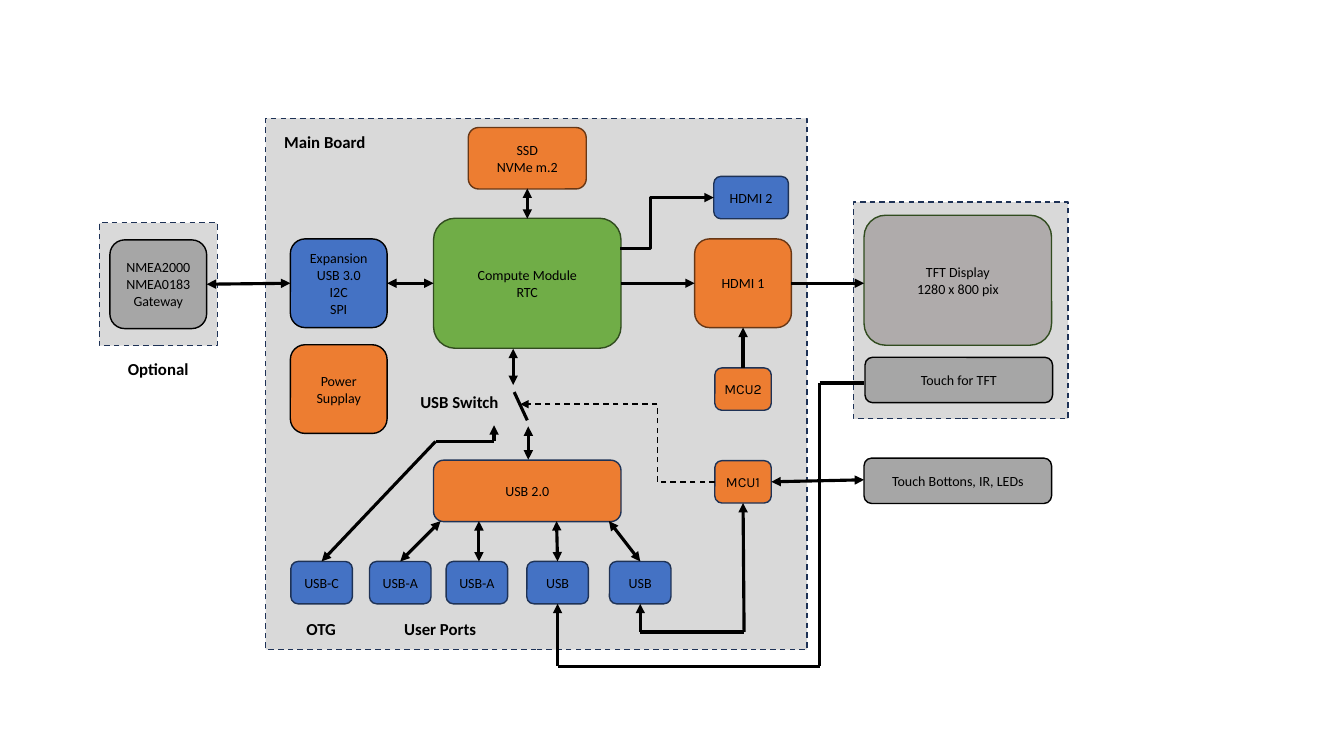
from dataclasses import dataclass

from lxml.etree import SubElement
from pptx import Presentation
from pptx.dml.color import RGBColor
from pptx.enum.dml import MSO_LINE
from pptx.enum.shapes import MSO_CONNECTOR, MSO_SHAPE
from pptx.enum.text import MSO_ANCHOR, MSO_AUTO_SIZE, PP_ALIGN
from pptx.oxml.ns import qn
from pptx.util import Inches, Pt


@dataclass(frozen=True)
class Theme:
    board: str = "D9D9D9"
    green: str = "70AD47"
    screen: str = "AFABAB"
    orange: str = "ED7D31"
    blue: str = "4472C4"
    grey: str = "A6A6A6"
    navy: str = "1E3256"
    moss: str = "314C1F"
    brown: str = "683715"
    black: str = "000000"
    font: str = "Calibri"
    chip_font: str = "Karla"
    block_size: int = 10
    label_size: int = 12
    thin: float = 1
    thick: float = 2.25


theme = Theme()

# Grid: centre lines of the columns and rows, in inches
GATEWAY, EXPANSION, CORE, VIDEO, DISPLAY = 1.57, 3.36, 5.23, 7.37, 9.5
OTG, PORT_A1, PORT_A2, PORT_TOUCH, PORT_CHIP = 3.19, 3.97, 4.73, 5.53, 6.35
STORAGE, SECOND_VIDEO, MAIN, POWER = 1.57, 1.96, 2.81, 3.86
SWITCH, CONTROL, HUB, PORTS = 4.01, 4.78, 4.87, 5.78
HUB_BOTTOM, PORT_TOP, PORT_BOTTOM = 5.17, 5.57, 5.99
CHIP_LOOP, TOUCH_LOOP, TOUCH_RISER, TOUCH_EXIT = 6.27, 6.61, 8.13, 3.8

# Block sizes
LARGE, UNIT, BAR = (1.86, 1.29), (0.96, 0.88), (1.86, 0.45)
HUB_SIZE, STORAGE_SIZE = (1.86, 0.61), (1.17, 0.61)
PORT, CHIP, VIDEO_PORT = (0.61, 0.42), (0.56, 0.42), (0.74, 0.42)

deck = Presentation()
deck.slide_width, deck.slide_height = Inches(13.33), Inches(7.5)
slide = deck.slides.add_slide(deck.slide_layouts[6])


def add_block(preset, centre, size, fill, outline):
    (x, y), (width, height) = centre, size
    block = slide.shapes.add_shape(
        preset, Inches(x - width / 2), Inches(y - height / 2), Inches(width), Inches(height))
    block.shadow.inherit = False
    block.fill.solid()
    block.fill.fore_color.rgb = RGBColor.from_string(fill)
    block.line.color.rgb = RGBColor.from_string(outline)
    block.line.width = Pt(theme.thin)
    return block


def add_link(points, heads="", dashed=False, kind=MSO_CONNECTOR.STRAIGHT):
    """Join the points; heads names the ends with an arrow: "<", ">" or "<>"."""
    last = len(points) - 2
    for leg, (start, end) in enumerate(zip(points, points[1:])):
        link = slide.shapes.add_connector(kind, *(Inches(v) for v in start + end))
        link.line.color.rgb = RGBColor.from_string(theme.black)
        link.line.width = Pt(theme.thin if dashed else theme.thick)
        if dashed:
            link.line.dash_style = MSO_LINE.DASH
        outline = link.line._get_or_add_ln()
        if "<" in heads and leg == 0:
            SubElement(outline, qn("a:headEnd"), type="triangle")
        if ">" in heads and leg == last:
            SubElement(outline, qn("a:tailEnd"), type="triangle")
        SubElement(link._element.spPr, qn("a:effectLst"))


# Dashed enclosures: display, main board, optional gateway
for centre, size in [((9.53, 3.08), (2.13, 2.15)),
                     ((5.32, 3.81), (5.37, 5.27)),
                     ((GATEWAY, 2.82), (1.17, 1.22))]:
    enclosure = add_block(MSO_SHAPE.RECTANGLE, centre, size, theme.board, theme.navy)
    enclosure.line.dash_style = MSO_LINE.DASH

# Blocks: lines of text, centre, size, fill, outline
blocks = [
    (["Compute Module", "RTC"], (CORE, MAIN), LARGE, theme.green, theme.moss),
    (["TFT Display", "1280 x 800 pix"], (DISPLAY, 2.78), LARGE, theme.screen, theme.moss),
    (["USB 2.0"], (CORE, HUB), HUB_SIZE, theme.orange, theme.navy),
    (["HDMI 1"], (VIDEO, MAIN), UNIT, theme.orange, theme.brown),
    (["HDMI 2"], (7.45, SECOND_VIDEO), VIDEO_PORT, theme.blue, theme.navy),
    (["MCU1"], (VIDEO, CONTROL), CHIP, theme.orange, theme.navy),
    (["MCU2"], (VIDEO, POWER), CHIP, theme.orange, theme.navy),
    (["Expansion", "USB 3.0", "I2C", "SPI"], (EXPANSION, MAIN), UNIT, theme.blue, theme.black),
    (["SSD", "NVMe m.2"], (CORE, STORAGE), STORAGE_SIZE, theme.orange, theme.brown),
    (["Power", "Supplay"], (EXPANSION, POWER), UNIT, theme.orange, theme.black),
    (["NMEA2000", "NMEA0183", "Gateway"], (GATEWAY, 2.82), UNIT, theme.grey, theme.black),
    (["Touch for TFT"], (9.51, 3.77), BAR, theme.grey, theme.black),
    (["Touch Bottons, IR, LEDs"], (DISPLAY, 4.77), BAR, theme.grey, theme.black),
]
port_columns = {OTG: "USB-C", PORT_A1: "USB-A", PORT_A2: "USB-A",
                PORT_TOUCH: "USB", PORT_CHIP: "USB"}
blocks += [([port], (column, PORTS), PORT, theme.blue, theme.navy)
           for column, port in port_columns.items()]

for lines, centre, size, fill, outline in blocks:
    frame = add_block(MSO_SHAPE.ROUNDED_RECTANGLE, centre, size, fill, outline).text_frame
    frame.word_wrap = True
    frame.vertical_anchor = MSO_ANCHOR.MIDDLE
    frame.margin_left = frame.margin_right = Inches(0.05)
    for number, line in enumerate(lines):
        paragraph = frame.add_paragraph() if number else frame.paragraphs[0]
        paragraph.alignment = PP_ALIGN.CENTER
        run = paragraph.add_run()
        run.text = line
        run.font.name = theme.chip_font if size == CHIP else theme.font
        run.font.size = Pt(theme.block_size)
        run.font.color.rgb = RGBColor.from_string(theme.black)

# Links along the main row and to the storage
add_link([(2.05, 2.82), (2.88, MAIN)], "<>")
add_link([(3.84, MAIN), (4.3, MAIN)], "<>")
add_link([(6.16, MAIN), (6.89, MAIN)], ">")
add_link([(7.85, MAIN), (8.57, MAIN)], ">")
add_link([(CORE, 1.87), (CORE, 2.17)], "<>")

# Second video output
add_link([(6.15, 2.47), (6.76, SECOND_VIDEO)], kind=MSO_CONNECTOR.ELBOW)
add_link([(6.73, SECOND_VIDEO), (7.08, SECOND_VIDEO)], ">")

# Controller chips and the switch signal
add_link([(VIDEO, 3.65), (VIDEO, 3.25)], ">")
add_link([(7.65, CONTROL), (8.57, 4.76)], "<>")
add_link([(7.09, CONTROL), (6.52, CONTROL), (6.52, SWITCH), (5.16, SWITCH)], ">", dashed=True)

# Switch between core, hub and OTG port
add_link([(5.09, 3.46), (5.09, 3.82)], "<>")
add_link([(5.1, 3.89), (5.23, 4.17)])
add_link([(5.24, 4.23), (5.24, 4.56)], "<>")
add_link([(OTG, PORT_TOP), (4.32, 4.38), (4.9, 4.38), (4.9, 4.22)], "<>")

# Hub to its ports
for hub_exit, column in [(4.37, PORT_A1), (4.75, 4.75),
                         (5.52, PORT_TOUCH), (6.04, PORT_CHIP)]:
    add_link([(hub_exit, HUB_BOTTOM), (column, PORT_TOP)], "<>")

# Loops from the ports to the chip and to the touch panel
add_link([(PORT_CHIP, PORT_BOTTOM), (PORT_CHIP, CHIP_LOOP),
          (7.38, CHIP_LOOP), (VIDEO, 4.99)], "<>")
add_link([(PORT_TOUCH, PORT_BOTTOM), (PORT_TOUCH, TOUCH_LOOP), (TOUCH_RISER, TOUCH_LOOP),
          (TOUCH_RISER, TOUCH_EXIT), (8.57, TOUCH_EXIT)], "<")

# Labels: left, top, width
for caption, left, top, width in [("Main Board", 2.72, 1.26, 1.02),
                                  ("Optional", 1.17, 3.51, 0.81),
                                  ("USB Switch", 4.07, 3.84, 0.99),
                                  ("OTG", 2.94, 6.09, 0.5),
                                  ("User Ports", 3.91, 6.09, 0.92)]:
    label = slide.shapes.add_textbox(Inches(left), Inches(top), Inches(width), Inches(0.3))
    label.text_frame.word_wrap = False
    label.text_frame.auto_size = MSO_AUTO_SIZE.SHAPE_TO_FIT_TEXT
    run = label.text_frame.paragraphs[0].add_run()
    run.text = caption
    run.font.name = theme.font
    run.font.size = Pt(theme.label_size)
    run.font.bold = True
    run.font.color.rgb = RGBColor.from_string(theme.black)

deck.save("out.pptx")
